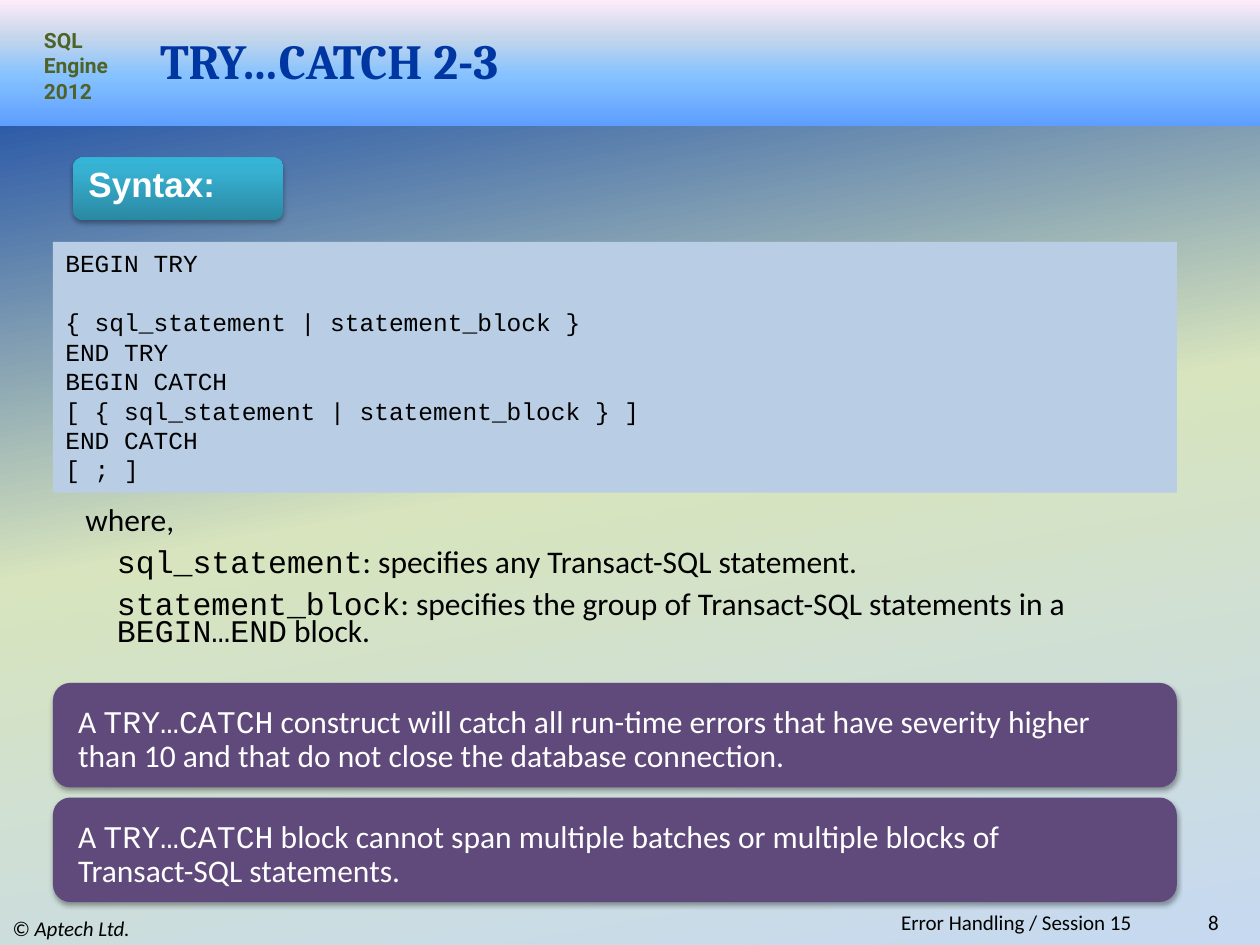
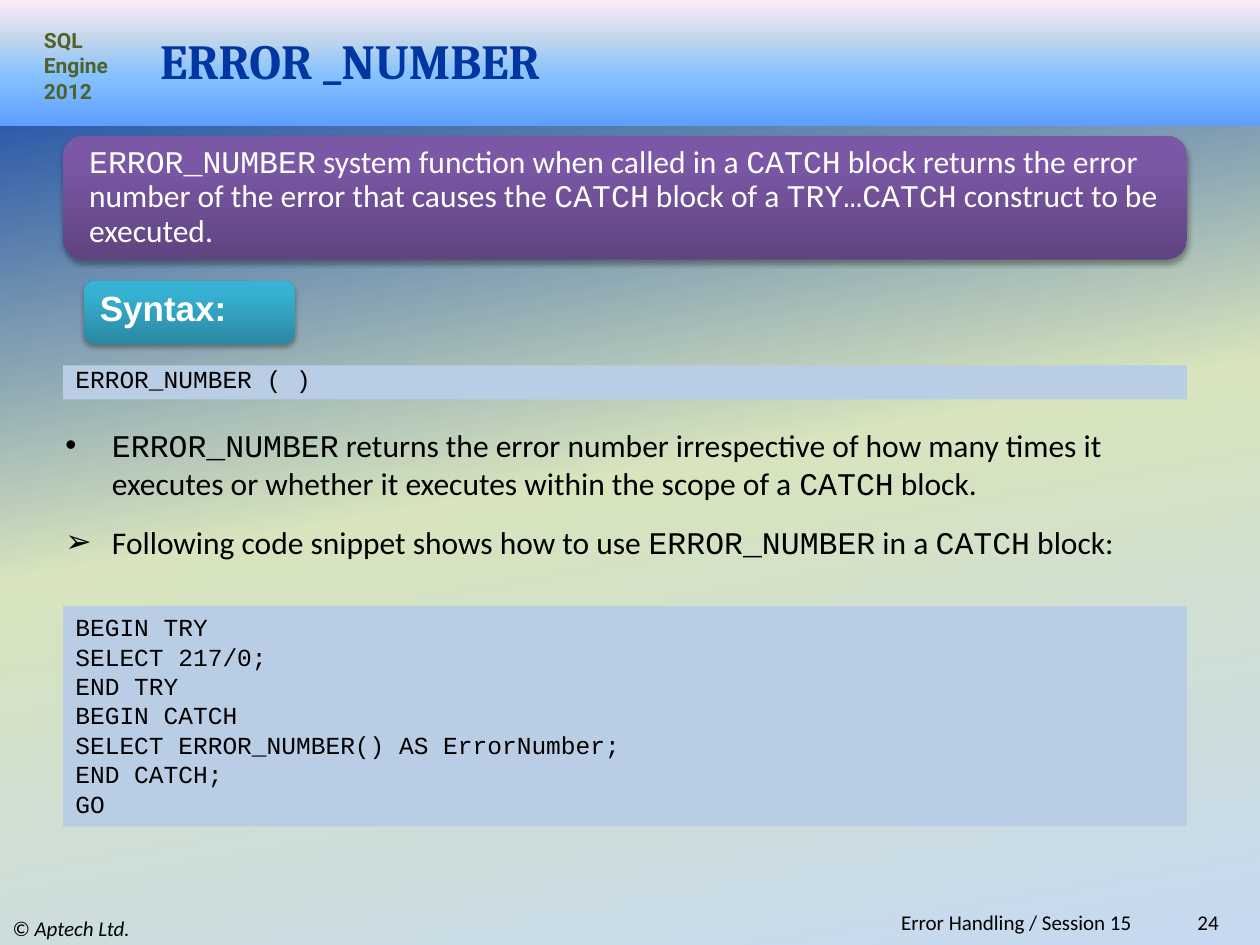
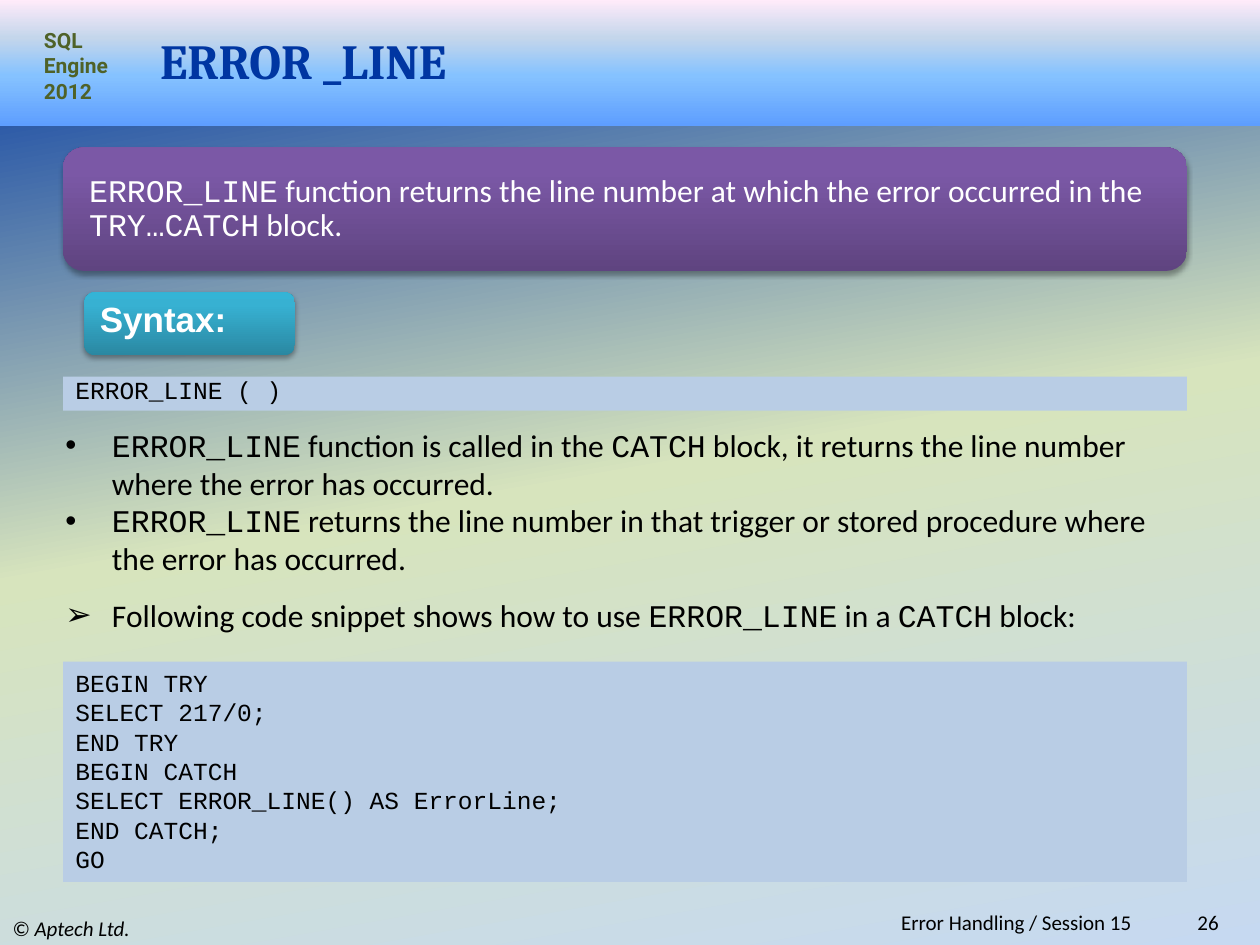
from lxml import etree
from pptx import Presentation
from pptx import util as u
from pptx.dml.color import RGBColor
from pptx.enum import shapes, text
from pptx.oxml.ns import qn

COLOURS = {
    "title": "0036A2", "course": "4F6228", "ink": "000000", "white": "FFFFFF",
    "code": "B9CDE5", "panel": "604A7B",
}
GRADIENTS = {
    "page": [(0, "0036A2"), (50, "D7E4BD"), (100, "C6D9F1")],
    "header": [(0, "5E9EFF"), (40, "85C2FF"), (70, "C4D6EB"), (100, "FFEBFA")],
    "syntax": [(0, "2A88A2"), (80, "37B1D2"), (100, "34B4D6")],
    "lead": [(0, "5F4480"), (80, "7B58A6"), (100, "7C57A8")],
}
CODE_FONT = "Courier New"
RECT = shapes.MSO_SHAPE.RECTANGLE
ROUNDED = shapes.MSO_SHAPE.ROUNDED_RECTANGLE
TOP, MIDDLE = text.MSO_ANCHOR.TOP, text.MSO_ANCHOR.MIDDLE
RIGHT = text.PP_ALIGN.RIGHT


def paint_gradient(fill, owner, stops, angle):
    """Fill with (percent, colour) stops; the angle runs counter-clockwise."""
    fill.gradient()
    fill.gradient_angle = angle
    stop_list = owner.find(".//" + qn("a:gsLst"))
    for old_stop in list(stop_list):
        stop_list.remove(old_stop)
    for percent, colour in stops:
        stop = etree.SubElement(stop_list, qn("a:gs"), pos=str(percent * 1000))
        etree.SubElement(stop, qn("a:srgbClr"), val=colour)


def add_block(slide, at, lines, fill=None, outline=RECT, font="Calibri", size=18,
              colour="ink", bold=False, anchor=TOP, align=None, spacing=None,
              bullet=None, insets=(0.1, 0.05, 0.1, 0.05)):
    """Add a text box, or a filled shape; `backticks` mark code in the lines."""
    place = [u.Inches(value) for value in at]
    if fill is None:
        block = slide.shapes.add_textbox(*place)
    else:
        block = slide.shapes.add_shape(outline, *place)
        block.line.fill.background()
        block.shadow.inherit = False
        if fill in GRADIENTS:
            paint_gradient(block.fill, block.element.spPr, GRADIENTS[fill], 90)
        else:
            block.fill.solid()
            block.fill.fore_color.rgb = RGBColor.from_string(COLOURS[fill])
        if outline == ROUNDED:
            effects = block.element.spPr.find(qn("a:effectLst"))
            shadow = etree.SubElement(
                effects, qn("a:outerShdw"), blurRad=str(u.Pt(3.1)),
                dist=str(u.Pt(1.8)), dir="5400000", rotWithShape="0")
            shade = etree.SubElement(shadow, qn("a:srgbClr"), val=COLOURS["ink"])
            etree.SubElement(shade, qn("a:alpha"), val="35000")
    frame = block.text_frame
    frame.word_wrap = True
    frame.vertical_anchor = anchor
    (frame.margin_left, frame.margin_top,
     frame.margin_right, frame.margin_bottom) = [u.Inches(i) for i in insets]
    for index, line in enumerate(lines):
        paragraph = frame.add_paragraph() if index else frame.paragraphs[0]
        paragraph.alignment = align or text.PP_ALIGN.LEFT
        if spacing:
            paragraph.line_spacing = spacing
        if bullet:
            properties = paragraph._p.get_or_add_pPr()
            properties.set("marL", str(u.Inches(0.37)))
            properties.set("indent", str(-u.Inches(0.37)))
            etree.SubElement(properties, qn("a:buFont"), typeface="Arial")
            etree.SubElement(properties, qn("a:buChar"), char=bullet)
        for part, words in enumerate(line.split("`")):
            for row, piece in enumerate(words.split("\n")):
                if row:
                    paragraph.add_line_break()
                if piece:
                    run = paragraph.add_run()
                    run.text = piece
                    run.font.name = CODE_FONT if part % 2 else font
                    run.font.size = u.Pt(size)
                    run.font.bold = bold
                    run.font.color.rgb = RGBColor.from_string(COLOURS[colour])
    return block


prs = Presentation()
prs.slide_width, prs.slide_height = u.Inches(10), u.Inches(7.5)
master = prs.slide_master
paint_gradient(master.background.fill, master.element, GRADIENTS["page"], 280)

# Header, title and footer of every slide
slides = []
for heading, page in [("TRY…CATCH 2-3", 8), ("ERROR _NUMBER", 24), ("ERROR _LINE", 26)]:
    slide = prs.slides.add_slide(prs.slide_layouts[5])
    slides.append(slide)
    header = add_block(slide, (0, 0, 10, 1), [], fill="header")
    title = slide.shapes.title
    slide.shapes._spTree.remove(header.element)
    title.element.addprevious(header.element)
    title.left, title.top = u.Inches(1.17), u.Inches(0.25)
    title.width, title.height = u.Inches(8.33), u.Inches(0.45)
    title.text_frame.text = heading
    title.text_frame.vertical_anchor = MIDDLE
    title_line = title.text_frame.paragraphs[0]
    title_line.alignment = text.PP_ALIGN.LEFT
    title_font = title_line.runs[0].font
    title_font.name, title_font.size, title_font.bold = "Cambria", u.Pt(28), True
    title_font.color.rgb = RGBColor.from_string(COLOURS["title"])

    add_block(slide, (0.25, 0.17, 0.75, 0.71), ["SQL Engine 2012"],
              font="Roboto", size=12, colour="course", bold=True)
    rights = add_block(slide, (0, 7.23, 3.33, 0.27), ["© Aptech Ltd."],
                       size=12, anchor=MIDDLE)
    rights.text_frame.paragraphs[0].runs[0].font.italic = True
    add_block(slide, (2.5, 7.23, 6.58, 0.18), ["Error Handling / Session 15"],
              size=12, anchor=MIDDLE, align=RIGHT)
    add_block(slide, (8.92, 7.23, 0.85, 0.18), [str(page)],
              size=12, anchor=MIDDLE, align=RIGHT)

# TRY…CATCH syntax
try_catch = slides[0]
syntax_code = add_block(try_catch, (0.42, 1.92, 8.92, 1.99), [
    "BEGIN TRY",
    "{ sql_statement | statement_block }",
    "END TRY",
    "BEGIN CATCH",
    "[ { sql_statement | statement_block } ]",
    "END CATCH",
    "[ ; ]",
], fill="code", font=CODE_FONT, size=14)
syntax_code.text_frame.paragraphs[1].space_before = u.Pt(17)

arguments = add_block(try_catch, (0.58, 4, 8.58, 1.25), [
    "where,",
    "`sql_statement`: specifies any Transact-SQL statement.",
    "`statement_block`: specifies the group of Transact-SQL statements in a "
    "`BEGIN…END` block.",
], spacing=0.7)
for argument in arguments.text_frame.paragraphs[1:]:
    argument.space_before = u.Pt(9)
    argument._p.get_or_add_pPr().set("marL", str(u.Inches(0.25)))

remarks = [
    "A `TRY…CATCH` construct will catch all run-time errors that have severity "
    "higher than 10 and that do not close the database connection.",
    "A `TRY…CATCH` block cannot span multiple batches or multiple blocks of \n"
    "Transact-SQL statements.",
]
for row, remark in enumerate(remarks):
    add_block(try_catch, (0.42, 5.42 + 0.91 * row, 8.92, 0.83), [remark],
              fill="panel", outline=ROUNDED, colour="white", anchor=MIDDLE,
              spacing=0.9, insets=(0.16, 0.16, 0.16, 0.08))

# Error functions: name, result column, lead, lead top, notes, notes height,
# snippet intro top, snippet top
functions = [
    ("ERROR_NUMBER", "ErrorNumber",
     "`ERROR_NUMBER` system function when called in a `CATCH` block returns the "
     "error number of the error that causes the `CATCH` block of a `TRY…CATCH` "
     "construct to be executed.", 1.08,
     ["`ERROR_NUMBER` returns the error number irrespective of how many times it "
      "executes or whether it executes within the scope of a `CATCH` block."],
     0.71, 4.1, 4.81),
    ("ERROR_LINE", "ErrorLine",
     "`ERROR_LINE` function returns the line number at which the error occurred "
     "in the `TRY…CATCH` block.", 1.17,
     ["`ERROR_LINE` function is called in the `CATCH` block, it returns the line "
      "number where the error has occurred.",
      "`ERROR_LINE` returns the line number in that trigger or stored procedure "
      "where the error has occurred."],
     1.31, 4.68, 5.25),
]
syntax_labels = [(try_catch, 0.58, 1.25)]
for slide, function in zip(slides[1:], functions):
    name, column, lead, lead_top, notes, notes_height, intro_top, snippet_top = function
    syntax_labels.append((slide, 0.67, lead_top + 1.15))
    add_block(slide, (0.5, lead_top, 8.92, 0.98), [lead], fill="lead",
              outline=ROUNDED, colour="white", anchor=MIDDLE, spacing=0.9,
              insets=(0.16, 0.08, 0.16, 0.08))
    add_block(slide, (0.5, lead_top + 1.82, 8.92, 0.27), [f"{name} ( )"],
              fill="code", font=CODE_FONT, size=14, spacing=0.7)
    add_block(slide, (0.42, 3.33, 8.92, notes_height), notes, bullet="•")
    add_block(slide, (0.42, intro_top, 8.75, 0.4),
              [f"Following code snippet shows how to use `{name}` in a `CATCH` block:"],
              bullet="➢")
    add_block(slide, (0.5, snippet_top, 8.92, 1.75), [
        "BEGIN TRY",
        "SELECT 217/0;",
        "END TRY",
        "BEGIN CATCH",
        f"SELECT {name}() AS {column};",
        "END CATCH;",
        "GO",
    ], fill="code", font=CODE_FONT, size=14)

for slide, left, top in syntax_labels:
    add_block(slide, (left, top, 1.67, 0.5), ["Syntax:"], fill="syntax",
              outline=ROUNDED, font="Arial", size=20, colour="white", bold=True,
              anchor=MIDDLE, spacing=0.7)

prs.save("out.pptx")
